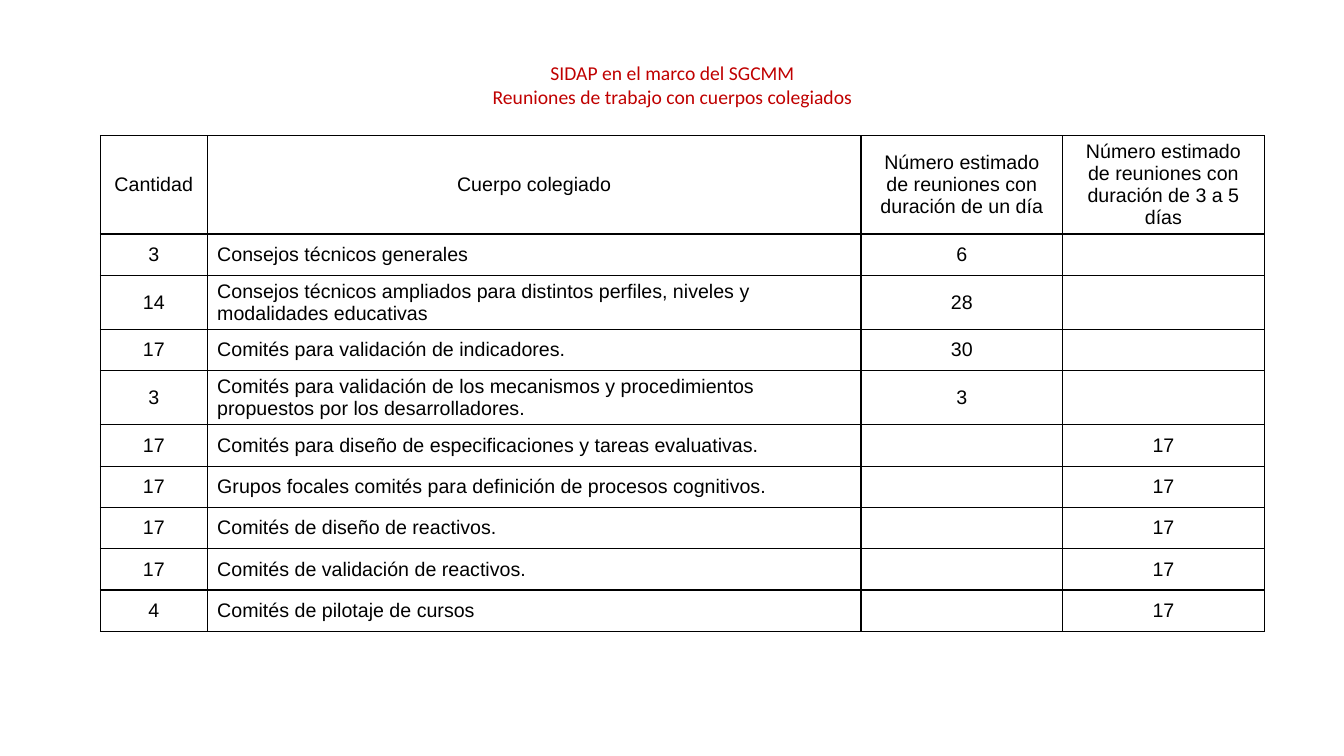
from lxml import etree
from pptx import Presentation
from pptx import util as u
from pptx.dml.color import RGBColor
from pptx.enum import text
from pptx.oxml import ns

TITLE = "SIDAP en el marco del SGCMM\nReuniones de trabajo con cuerpos colegiados"
HEADER = (
    "Cantidad",
    "Cuerpo colegiado",
    "Número estimado de reuniones con duración de un día",
    "Número estimado de reuniones con duración de 3 a 5 días",
)
BODIES = [
    ("3", "Consejos técnicos generales", "6", ""),
    ("14", "Consejos técnicos ampliados para distintos perfiles, niveles y modalidades educativas", "28", ""),
    ("17", "Comités para validación de indicadores.", "30", ""),
    ("3", "Comités para validación de los mecanismos y procedimientos propuestos por los desarrolladores.", "3", ""),
    ("17", "Comités para diseño de especificaciones y tareas evaluativas.", "", "17"),
    ("17", "Grupos focales comités para definición de procesos cognitivos.", "", "17"),
    ("17", "Comités de diseño de reactivos.", "", "17"),
    ("17", "Comités de validación de reactivos.", "", "17"),
    ("4", "Comités de pilotaje de cursos", "", "17"),
]
COLUMN_WIDTHS = (2.69, 16.48, 5.08, 5.08)
HEADER_HEIGHT = 1.24
ROW_HEIGHT = 1.04


def rgb(color):
    return RGBColor.from_string(color)


def write(tf, content, font="Arial", size=14, color="000000", centered=True):
    tf.text = content
    for p in tf.paragraphs:
        p.alignment = text.PP_ALIGN.CENTER if centered else text.PP_ALIGN.LEFT
        for r in p.runs:
            r.font.name = font
            r.font.size = u.Pt(size)
            r.font.bold = False
            r.font.color.rgb = rgb(color)


def add_borders(cell, color="000000", width=1):
    tcPr = cell._tc.get_or_add_tcPr()
    for side in ("lnL", "lnR", "lnT", "lnB"):
        ln = etree.SubElement(tcPr, ns.qn(f"a:{side}"), w=str(u.Pt(width)))
        fill = etree.SubElement(ln, ns.qn("a:solidFill"))
        etree.SubElement(fill, ns.qn("a:srgbClr"), val=color)


def add_title(s):
    sp = s.shapes.title
    sp.left, sp.top = u.Cm(5.28), u.Cm(1.42)
    sp.width, sp.height = u.Cm(23.34), u.Cm(1.45)
    tf = sp.text_frame
    tf.word_wrap = True
    tf.vertical_anchor = text.MSO_ANCHOR.TOP
    write(tf, TITLE, font="Calibri", color="C00000")


def add_meetings_table(s):
    rows = [HEADER, *BODIES]
    height = HEADER_HEIGHT + ROW_HEIGHT * len(BODIES)
    table = s.shapes.add_table(
        len(rows), len(HEADER), u.Cm(2.53), u.Cm(3.42),
        u.Cm(sum(COLUMN_WIDTHS)), u.Cm(height)).table
    table.first_row = table.horz_banding = False
    for column, width in zip(table.columns, COLUMN_WIDTHS):
        column.width = u.Cm(width)
    for i, row in enumerate(rows):
        table.rows[i].height = u.Cm(ROW_HEIGHT if i else HEADER_HEIGHT)
        for j, content in enumerate(row):
            cell = table.cell(i, j)
            add_borders(cell)
            cell.fill.background()
            cell.vertical_anchor = text.MSO_ANCHOR.MIDDLE
            write(cell.text_frame, content, centered=i == 0 or j != 1)


def main():
    prs = Presentation()
    prs.slide_width, prs.slide_height = u.Cm(33.87), u.Cm(19.05)
    s = prs.slides.add_slide(prs.slide_layouts[5])
    add_title(s)
    add_meetings_table(s)
    prs.save("out.pptx")


if __name__ == "__main__":
    main()
